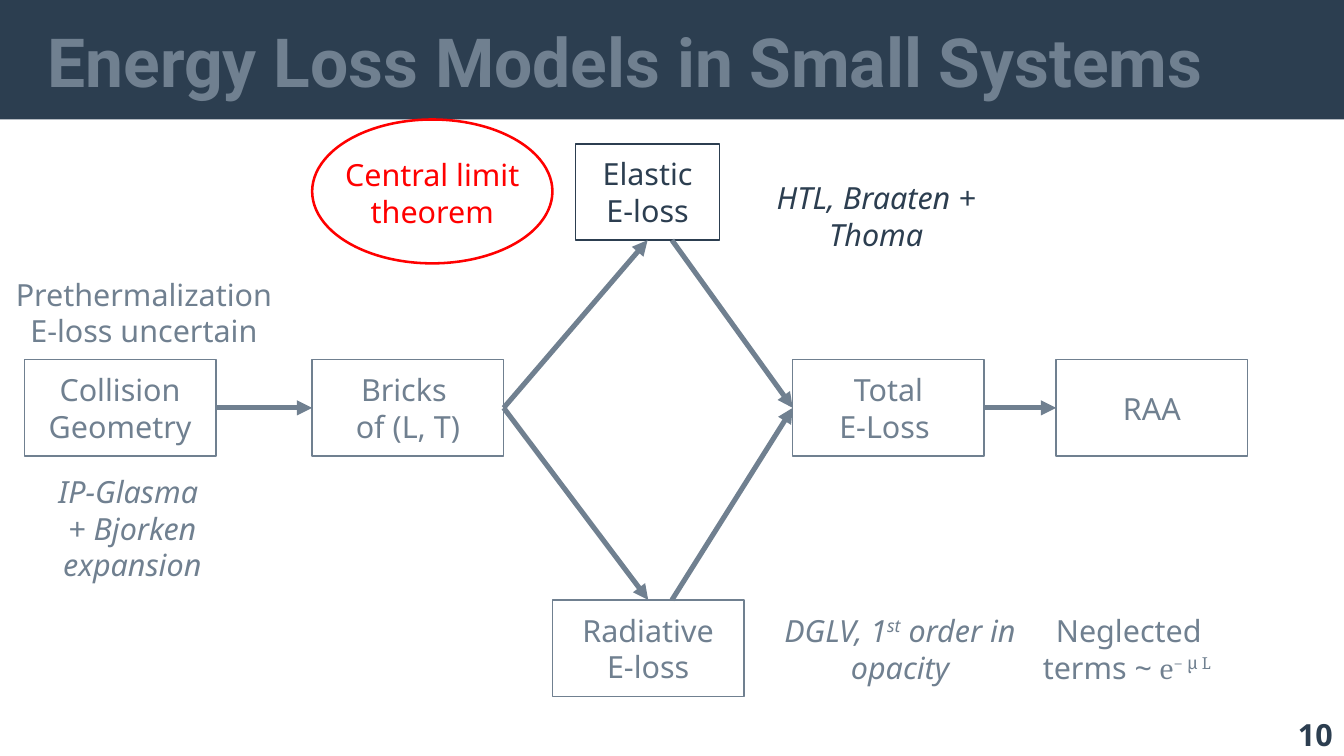
"""Build the slide on energy loss models in small systems."""
from lxml import etree
from pptx import Presentation
from pptx.dml.color import RGBColor
from pptx.enum.shapes import MSO_CONNECTOR, MSO_SHAPE
from pptx.enum.text import MSO_ANCHOR, PP_ALIGN
from pptx.oxml.ns import qn
from pptx.util import Inches, Pt

RECT, OVAL = MSO_SHAPE.RECTANGLE, MSO_SHAPE.OVAL
STRAIGHT = MSO_CONNECTOR.STRAIGHT
MIDDLE = MSO_ANCHOR.MIDDLE
LEFT, CENTER = PP_ALIGN.LEFT, PP_ALIGN.CENTER
TOP_SIDE, LEFT_SIDE, BOTTOM_SIDE, RIGHT_SIDE = range(4)

COLORS = {"navy": "2C3E50", "slate": "708090", "red": "FF0000", "white": "FFFFFF"}
SLIDE_W, SLIDE_H = 11.02, 6.2
BANNER_H = 0.98
BOX_W, BOX_H = 1.57, 0.79
ROW_Y = 2.95
EXIT_X = 5.51

TITLE = "Energy Loss Models in Small Systems"
PAGE = "10"

BOXES = {
    "elastic": (["Elastic", "E-loss"], 4.72, 1.18, 1.18, "navy"),
    "radiative": (["Radiative", "E-loss"], 4.53, 4.92, BOX_W, "slate"),
    "geometry": (["Collision", "Geometry"], 0.2, ROW_Y, BOX_W, "slate"),
    "bricks": (["Bricks ", "of (L, T)"], 2.56, ROW_Y, BOX_W, "slate"),
    "total": (["Total", "E-Loss "], 6.5, ROW_Y, BOX_W, "slate"),
    "raa": (["RAA"], 8.66, ROW_Y, BOX_W, "slate"),
}

ARROWS = [
    ("geometry", RIGHT_SIDE, "raa", LEFT_SIDE),
    ("bricks", RIGHT_SIDE, "elastic", BOTTOM_SIDE),
    ("bricks", RIGHT_SIDE, "radiative", TOP_SIDE),
    ("elastic", None, "total", LEFT_SIDE),
    ("radiative", None, "total", LEFT_SIDE),
    ("total", RIGHT_SIDE, "raa", LEFT_SIDE),
]
ARROWS[0] = ("geometry", RIGHT_SIDE, "bricks", LEFT_SIDE)

SUPER = {"baseline": "33000"}
NOTES = [
    (["IP-Glasma ", "+ Bjorken expansion"], (0, 3.74, 2.17, 1.18), "slate", True),
    (["HTL, Braaten + Thoma"], (6.1, 1.18, 2.17, 1.18), "navy", True),
    ([[("DGLV, 1", {}), ("st", SUPER), (" order in opacity", {})]],
     (6.1, 4.93, 2.56, 0.78), "slate", True),
    (["Central limit theorem"], (2.56, 1.19, 1.97, 0.78), "red", False),
    ([[("Neglected terms ~ ", {}), ("e", {"font": "Cambria"}),
       ("− μ L ", {"font": "Cambria", **SUPER})]],
     (8.27, 4.93, 1.97, 0.78), "slate", False),
    (["Prethermalization E-loss uncertain"], (0, 2, 2.36, 1.12), "slate", False),
]


def rgb(name):
    return RGBColor.from_string(COLORS[name])


def write(sp, paragraphs, color="slate", size=18, font="Noto Sans", bold=False,
          italic=False, align=CENTER, wrap=True, inset=(0.1, 0.05)):
    tf = sp.text_frame
    tf.word_wrap = wrap
    tf.vertical_anchor = MIDDLE
    tf.margin_left = tf.margin_right = Inches(inset[0])
    tf.margin_top = tf.margin_bottom = Inches(inset[1])
    for i, runs in enumerate(paragraphs):
        p = tf.add_paragraph() if i else tf.paragraphs[0]
        p.alignment = align
        for text, style in [(runs, {})] if isinstance(runs, str) else runs:
            r = p.add_run()
            r.text = text
            r.font.name = style.get("font", font)
            r.font.size = Pt(size)
            r.font.bold, r.font.italic = bold, italic
            r.font.color.rgb = rgb(color)
            if "baseline" in style:
                r.font._element.set("baseline", style["baseline"])


def add_text(s, paragraphs, at, **style):
    write(s.shapes.add_textbox(*map(Inches, at)), paragraphs, **style)


def add_shape(s, kind, at, fill=None, line=None, width=0.85):
    sp = s.shapes.add_shape(kind, *map(Inches, at))
    sp.shadow.inherit = False
    if fill:
        sp.fill.solid()
        sp.fill.fore_color.rgb = rgb(fill)
    else:
        sp.fill.background()
    if line:
        sp.line.color.rgb = rgb(line)
        sp.line.width = Pt(width)
    else:
        sp.line.fill.background()
    return sp


def add_arrow(s, start, start_side, end, end_side):
    y = start.top + start.height if start.top < end.top else start.top
    arrow = s.shapes.add_connector(STRAIGHT, Inches(EXIT_X), y, end.left, end.top)
    if start_side is not None:
        arrow.begin_connect(start, start_side)
    arrow.end_connect(end, end_side)
    arrow.line.color.rgb = rgb("slate")
    arrow.line.width = Pt(3)
    etree.SubElement(arrow.line._get_or_add_ln(), qn("a:tailEnd"), type="triangle")
    etree.SubElement(arrow._element.spPr, qn("a:effectLst"))


def main():
    prs = Presentation()
    prs.slide_width, prs.slide_height = Inches(SLIDE_W), Inches(SLIDE_H)
    s = prs.slides.add_slide(prs.slide_layouts[6])

    add_shape(s, RECT, (0, 0, SLIDE_W, BANNER_H), fill="navy")
    add_text(s, [PAGE], (10.59, 5.8, 0.39, 0.44), color="navy", bold=True, inset=(0, 0))
    add_text(s, [TITLE], (0.39, 0.1, 10.24, 0.79), size=40, font="Roboto",
             bold=True, align=LEFT, inset=(0, 0))

    boxes = {}
    for name, (lines, x, y, w, color) in BOXES.items():
        boxes[name] = add_shape(s, RECT, (x, y, w, BOX_H), fill="white", line=color)
        write(boxes[name], lines, color=color, wrap=False)
    for start, start_side, end, end_side in ARROWS:
        add_arrow(s, boxes[start], start_side, boxes[end], end_side)
    for paragraphs, at, color, italic in NOTES:
        add_text(s, paragraphs, at, color=color, italic=italic)
    add_shape(s, OVAL, (2.56, BANNER_H, 1.97, 1.18), line="red", width=1.5)

    prs.save("out.pptx")


if __name__ == "__main__":
    main()
